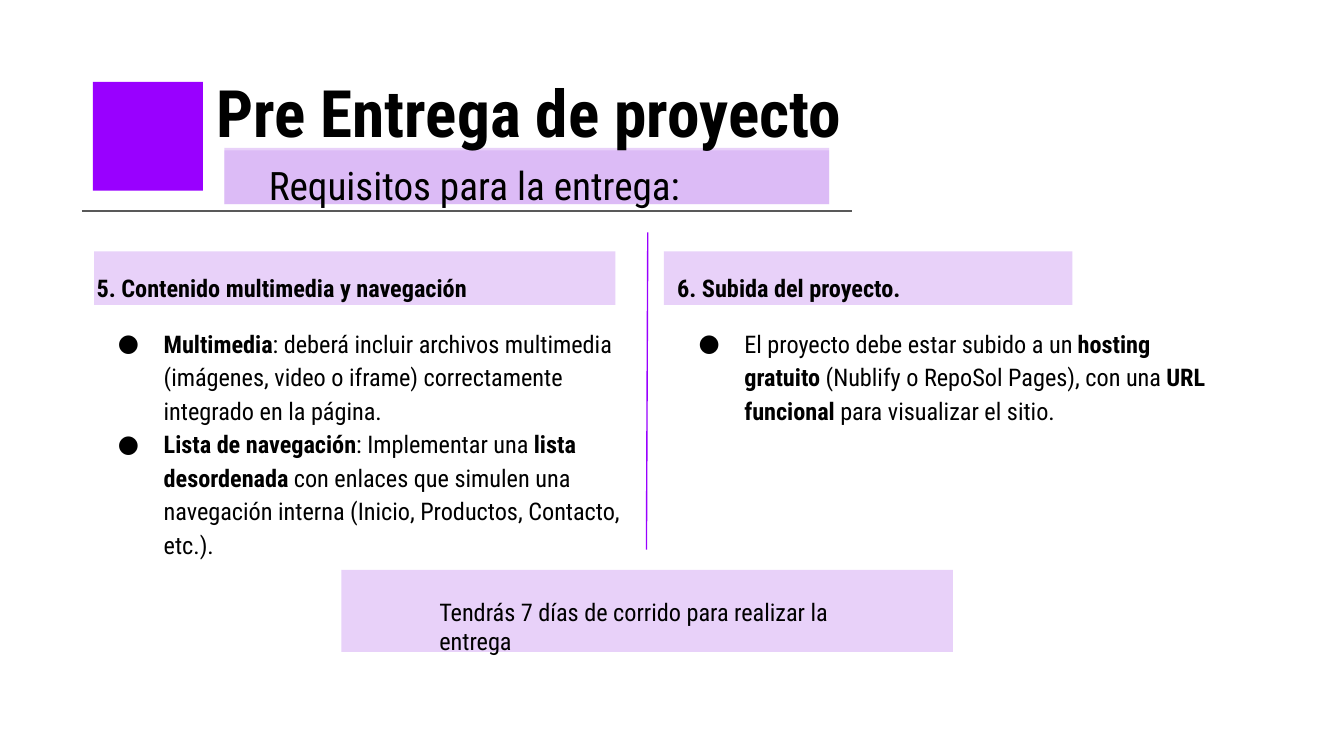
from lxml import etree
from pptx import Presentation
from pptx.dml.color import RGBColor as RGB
from pptx.enum.shapes import MSO_CONNECTOR as LINE, MSO_SHAPE as SHAPE
from pptx.oxml.ns import qn
from pptx.util import Inches, Pt

FONT = "Roboto Condensed"
COLORS = {"violet": "9900FF", "lilac": "D2A6F4", "rule": "595959", "ink": "000000"}


def color(name):
    return RGB.from_string(COLORS[name])


def add_rect(slide, x, y, w, h, fill, alpha=None):
    rect = slide.shapes.add_shape(SHAPE.RECTANGLE, *map(Inches, (x, y, w, h)))
    rect.shadow.inherit = False
    rect.fill.solid()
    rect.fill.fore_color.rgb = color(fill)
    rect.line.fill.background()
    if alpha:
        tint = rect._element.spPr.find(".//" + qn("a:srgbClr"))
        etree.SubElement(tint, qn("a:alpha")).set("val", str(alpha * 1000))


def add_band(slide, x, y, w, h):
    add_rect(slide, x, y, w, h, "lilac", alpha=51)


def add_line(slide, x1, y1, x2, y2, ink):
    line = slide.shapes.add_connector(LINE.STRAIGHT, *map(Inches, (x1, y1, x2, y2)))
    line.line.color.rgb = color(ink)
    line.line.width = Pt(0.75)
    etree.SubElement(line._element.spPr, qn("a:effectLst"))


def set_bullet(par):
    props = par._p.get_or_add_pPr()
    props.set("marL", str(Inches(0.5)))
    props.set("indent", str(Inches(-0.34)))
    tint = etree.SubElement(props, qn("a:buClr"))
    etree.SubElement(tint, qn("a:srgbClr")).set("val", COLORS["ink"])
    etree.SubElement(props, qn("a:buFont")).set("typeface", FONT)
    etree.SubElement(props, qn("a:buChar")).set("char", "●")


def add_text(slide, x, y, w, h, pars, size=13, bold=False, space=None, inset=0.1):
    """Write paragraphs; a list is a bullet whose (text, bold) pairs are runs."""
    frame = slide.shapes.add_textbox(*map(Inches, (x, y, w, h))).text_frame
    frame.word_wrap = True
    frame.margin_left = frame.margin_right = Inches(inset)
    frame.margin_top = frame.margin_bottom = Inches(inset)
    for i, runs in enumerate(pars):
        par = frame.add_paragraph() if i else frame.paragraphs[0]
        if space:
            par.line_spacing = space
        if i == 1:
            par.space_before = Pt(12)
        if isinstance(runs, str):
            runs = [(runs, bold)]
        else:
            set_bullet(par)
        for words, strong in runs:
            run = par.add_run()
            run.text = words
            run.font.name = FONT
            run.font.size = Pt(size)
            run.font.bold = strong
            run.font.color.rgb = color("ink")


def add_header(slide, x, y):
    add_band(slide, x + 0.98, y + 0.51, 4.5, 0.4)
    add_band(slide, x + 0.98, y + 0.49, 4.5, 0.42)
    add_text(slide, x + 0.82, y - 0.17, 7.63, 0.81,
             ["Pre Entrega de proyecto"], size=35, bold=True)
    add_line(slide, x - 0.08, y + 0.96, x + 5.65, y + 0.96, "rule")
    add_text(slide, x + 1.31, y + 0.52, 3.98, 0.35,
             ["Requisitos para la entrega:"], size=21, space=1.2, inset=0)
    add_rect(slide, x, y, 0.82, 0.81, "violet")


def add_column(slide, x, y, w, h, band, title, items):
    """Place a titled list; band is the offset and width of the strip behind its title."""
    shift, width = band
    add_band(slide, x + shift, y - 0.03, width, 0.4)
    add_text(slide, x, y, w, h, [title, *items], bold=True, space=1.15)


def add_notice(slide, x, y, w, h):
    add_band(slide, x, y, w, h)
    add_text(slide, x + 0.63, y + 0.1, 3.48, 0.42,
             ["Tendrás 7 días de corrido para realizar la entrega"])


def main():
    deck = Presentation()
    deck.slide_width = Inches(10)
    deck.slide_height = Inches(10 * 9 / 16)
    slide = deck.slides.add_slide(deck.slide_layouts[6])
    add_notice(slide, 2.54, 4.24, 4.55, 0.61)
    add_header(slide, 0.69, 0.61)
    add_column(slide, 0.62, 1.9, 4.2, 2.72, (0.08, 3.88),
               "5. Contenido multimedia y navegación", [
                   [("Multimedia", True),
                    (": deberá incluir archivos multimedia (imágenes, video o iframe) "
                     "correctamente integrado en la página.", False)],
                   [("Lista de navegación", True), (": Implementar una ", False),
                    ("lista desordenada", True),
                    (" con enlaces que simulen una navegación interna "
                     "(Inicio, Productos, Contacto, etc.).", False)]])
    add_column(slide, 4.94, 1.9, 4.2, 1.49, (0, 3.04),
               "6. Subida del proyecto.", [
                   [("El proyecto debe estar subido a un ", False),
                    ("hosting gratuito", True),
                    (" (Nublify o RepoSol Pages), con una ", False),
                    ("URL funcional", True),
                    (" para visualizar el sitio.", False)]])
    add_line(slide, 4.82, 1.73, 4.81, 4.09, "violet")
    deck.save("out.pptx")


if __name__ == "__main__":
    main()
